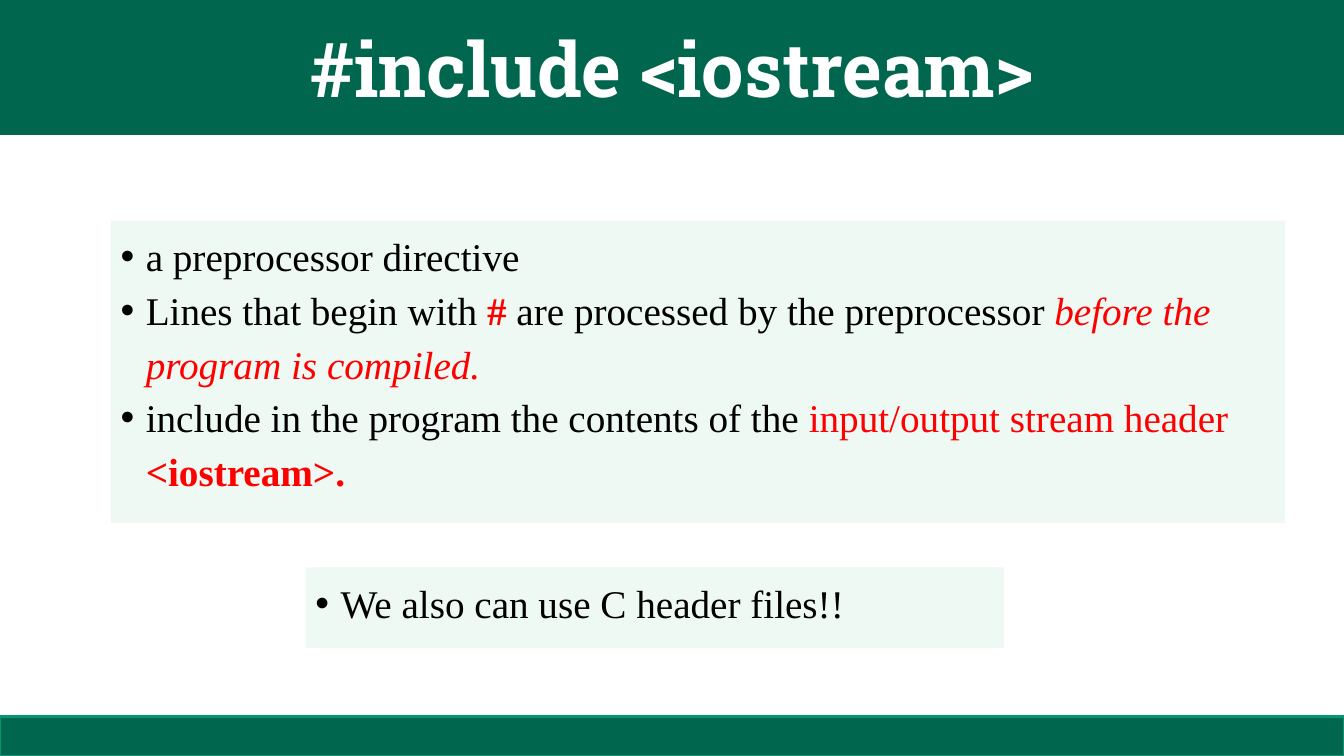
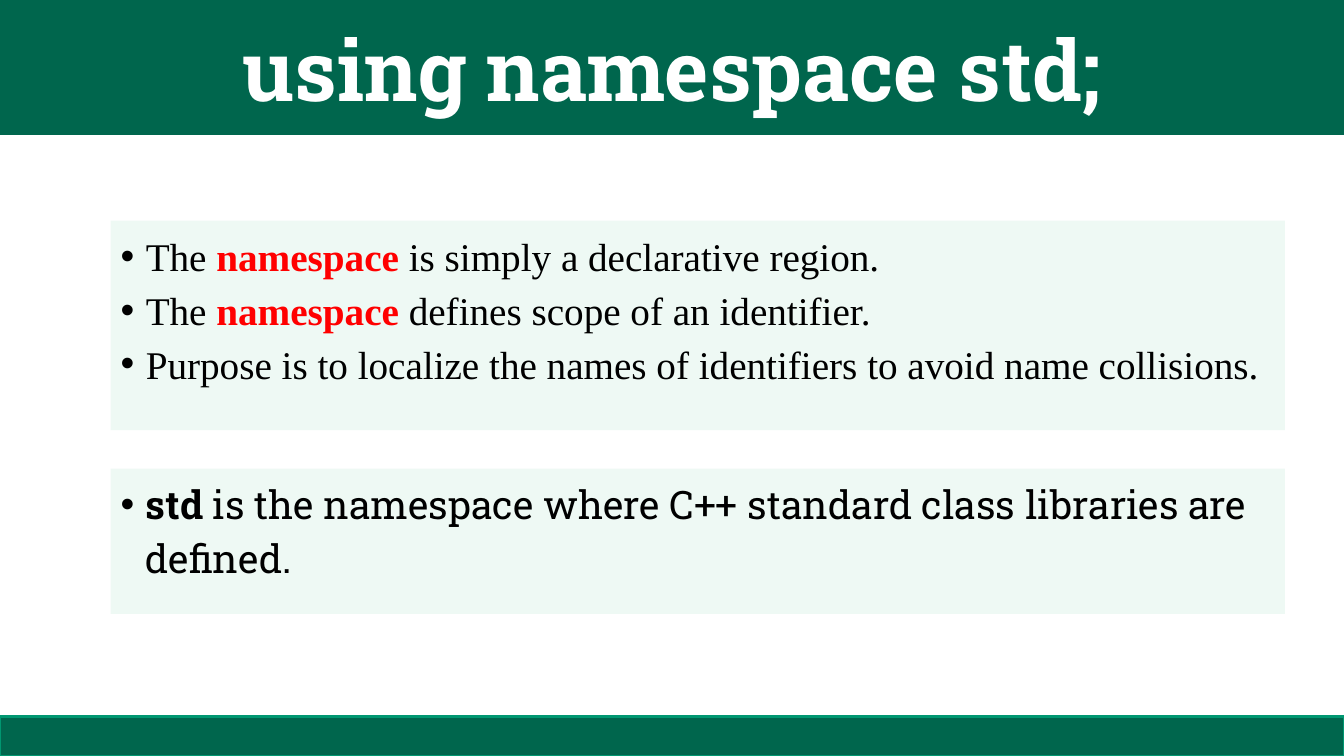
import pptx
import pptx.util
import pptx.dml.color
import pptx.enum.shapes
import pptx.enum.text
import lxml.etree
from dataclasses import dataclass

Cm, Pt = pptx.util.Cm, pptx.util.Pt


# Colours, fonts and sizes
@dataclass(frozen=True)
class Theme:
    band: str = "00664D"
    edge: str = "009771"
    card: str = "EEF9F4"
    ink: str = "000000"
    mark: str = "FF0000"
    light: str = "FFFFFF"
    slab: str = "Roboto Slab"
    serif: str = "Times New Roman"
    body: float = 28
    pitch: float = 38.4
    wide: float = 33.87
    high: float = 19.05
    head: float = 3.4
    foot: float = 0.99
    left: float = 2.79
    span: float = 29.59


def color(code):
    return pptx.dml.color.RGBColor.from_string(code)


class Deck:
    def __init__(self, theme):
        self.theme = theme
        self.file = pptx.Presentation()
        self.file.slide_width = Cm(theme.wide)
        self.file.slide_height = Cm(theme.high)
        self.slide = None

    # New slide with title band and footer band
    def page(self, title, size):
        t = self.theme
        self.slide = self.file.slides.add_slide(self.file.slide_layouts[5])
        head = self.slide.shapes.title
        head.left, head.top = Cm(0), Cm(0)
        head.width, head.height = Cm(t.wide), Cm(t.head)
        self.paint(head, t.band)
        frame = head.text_frame
        frame.word_wrap = True
        frame.auto_size = pptx.enum.text.MSO_AUTO_SIZE.NONE
        frame.vertical_anchor = pptx.enum.text.MSO_ANCHOR.MIDDLE
        para = frame.paragraphs[0]
        para.alignment = pptx.enum.text.PP_ALIGN.CENTER
        self.run(para, title, t.slab, size, t.light, bold=True)
        self.box(0, t.high - t.foot, t.wide, t.foot, t.band, t.edge)

    def paint(self, shape, fill, edge=None):
        shape.fill.solid()
        shape.fill.fore_color.rgb = color(fill)
        if edge:
            shape.line.color.rgb = color(edge)
            shape.line.width = Pt(2)
        else:
            shape.line.fill.background()

    def box(self, x, y, w, h, fill, edge=None):
        kind = pptx.enum.shapes.MSO_SHAPE.RECTANGLE
        shape = self.slide.shapes.add_shape(kind, Cm(x), Cm(y), Cm(w), Cm(h))
        shape.shadow.inherit = False
        self.paint(shape, fill, edge)
        return shape

    def run(self, para, text, font, size, ink, bold=False, slant=False):
        run = para.add_run()
        run.text = text
        run.font.name = font
        run.font.size = Pt(size)
        run.font.color.rgb = color(ink)
        run.font.bold = bold
        run.font.italic = slant

    # Tinted card of bullets; style letters: r red, b bold, i italic
    def card(self, x, y, w, h, items, font=None):
        t = self.theme
        frame = self.box(x, y, w, h, t.card).text_frame
        frame.word_wrap = True
        frame.vertical_anchor = pptx.enum.text.MSO_ANCHOR.TOP
        for n, item in enumerate(items):
            para = frame.add_paragraph() if n else frame.paragraphs[0]
            para.alignment = pptx.enum.text.PP_ALIGN.LEFT
            para.line_spacing = Pt(t.pitch)
            self.bullet(para)
            for text, style in item:
                ink = t.mark if "r" in style else t.ink
                self.run(para, text, font or t.serif, t.body, ink,
                         "b" in style, "i" in style)

    def bullet(self, para):
        props = para._p.get_or_add_pPr()
        props.set("marL", str(Cm(0.635)))
        props.set("indent", str(-Cm(0.635)))
        space = "{" + props.nsmap["a"] + "}"
        lxml.etree.SubElement(props, space + "buFont", typeface="Arial")
        lxml.etree.SubElement(props, space + "buChar", char="•")


theme = Theme()
deck = Deck(theme)

# Slide 1: header inclusion
deck.page("#include <iostream>", 54)
deck.card(theme.left, 5.56, theme.span, 7.62, [
    [("a preprocessor directive", "")],
    [("Lines that begin with ", ""), ("#", "rb"),
     (" are processed by the preprocessor ", ""),
     ("before the program is compiled.", "ri")],
    [("include in the program the contents of the ", ""),
     ("input/output stream header ", "r"), ("<iostream>.", "rb")],
])
deck.card(7.7, 14.3, 17.6, 2.03, [
    [("We also can use C header files!!", "")],
])

# Slide 2: namespaces
deck.page("using namespace std;", 60)
deck.card(theme.left, 5.56, theme.span, 5.28, [
    [("The ", ""), ("namespace", "rb"),
     (" is simply a declarative region.", "")],
    [("The ", ""), ("namespace ", "rb"),
     ("defines scope of an identifier.", "")],
    [("Purpose is to localize the names of identifiers "
      "to avoid name collisions.", "")],
])
deck.card(theme.left, 11.81, theme.span, 3.66, [
    [("std ", "b"),
     ("is the namespace where C++ standard class libraries are defined.", "")],
], theme.slab)

deck.file.save("out.pptx")
